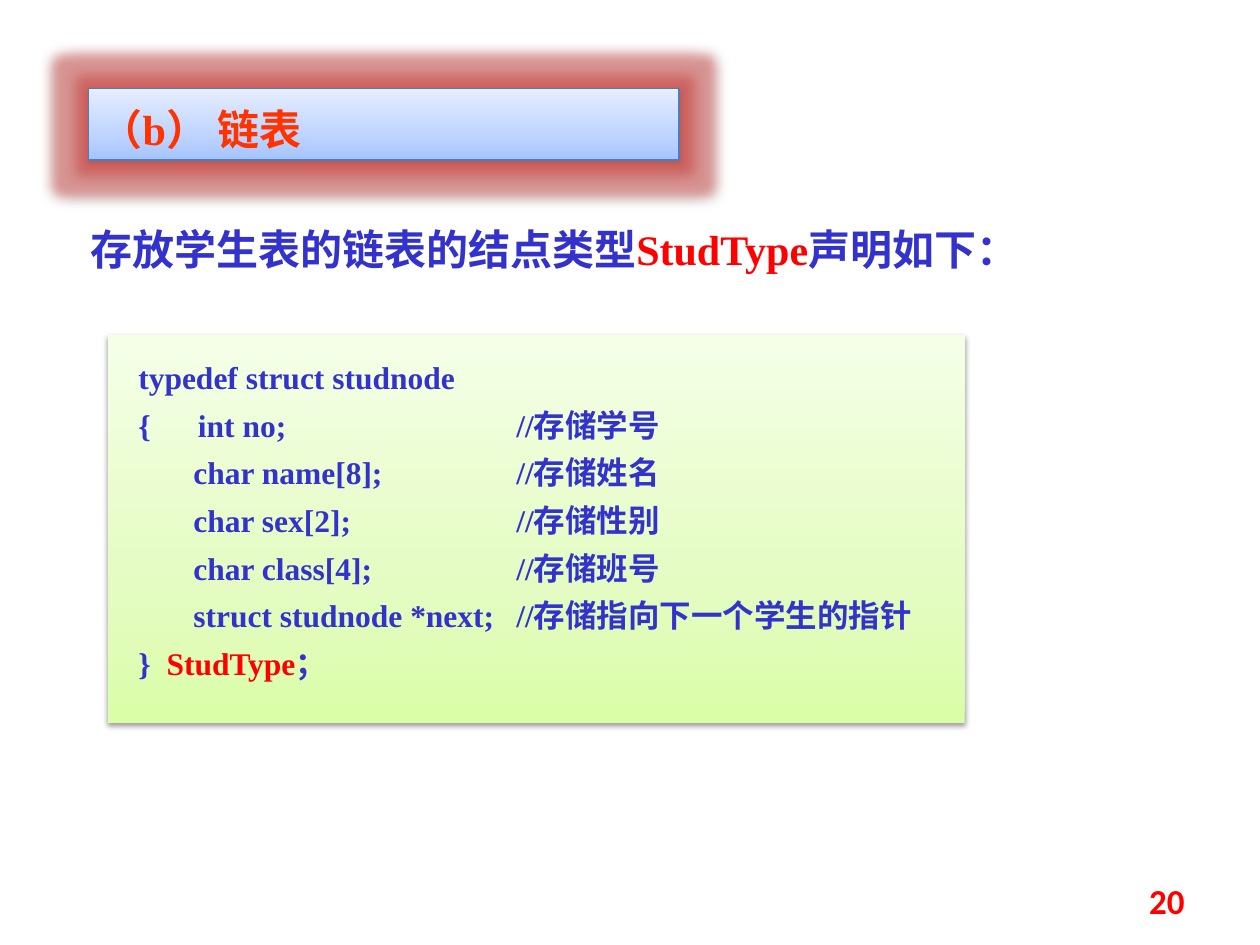
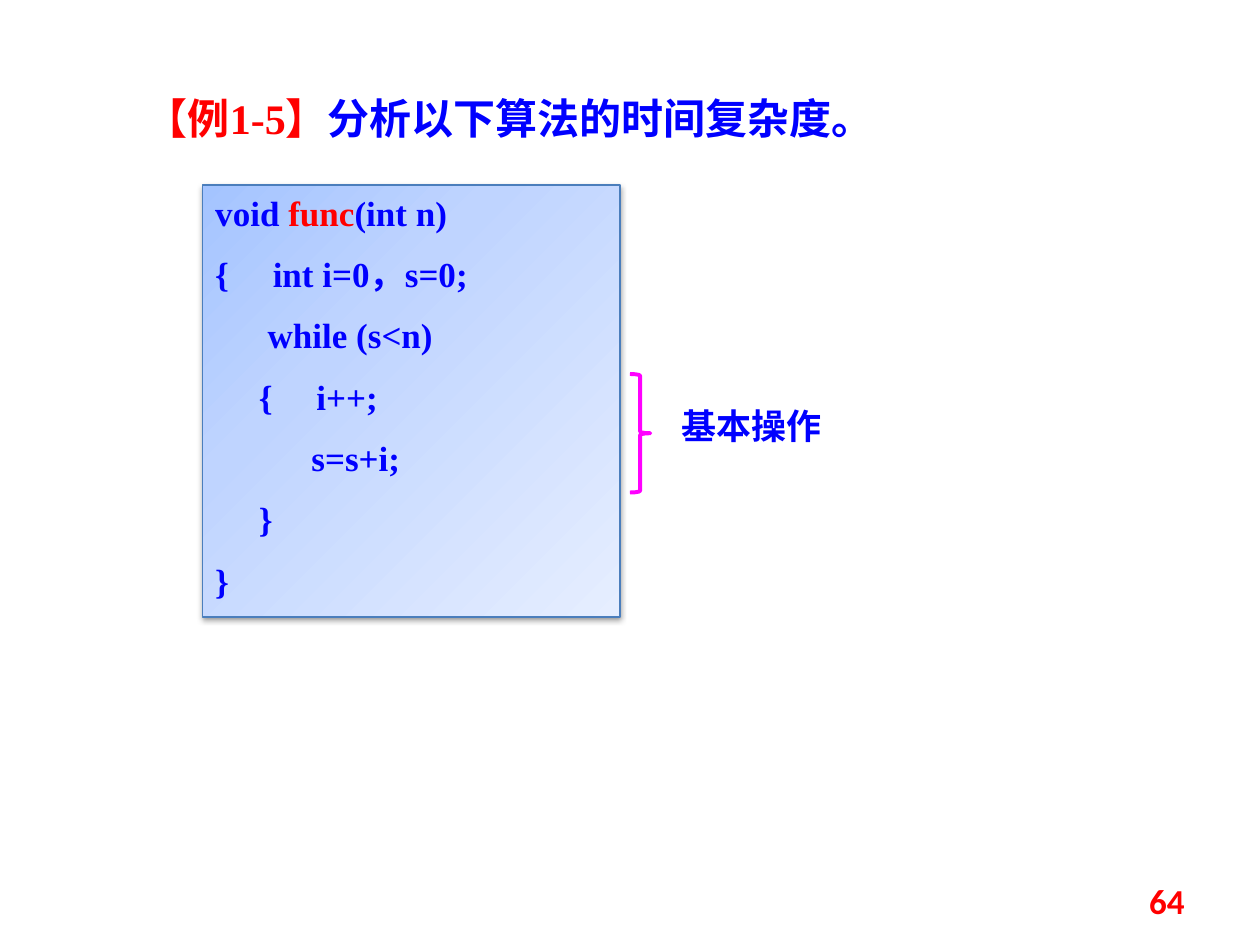
from lxml import etree
from pptx import Presentation
from pptx.dml.color import RGBColor
from pptx.enum.shapes import MSO_SHAPE as Shape
from pptx.enum.text import MSO_ANCHOR as Anchor, PP_ALIGN as Align
from pptx.oxml.ns import qn
from pptx.util import Cm, Pt

RED = RGBColor(0xFF, 0x00, 0x00)
ORANGE = RGBColor(0xFF, 0x33, 0x00)
INDIGO = RGBColor(0x33, 0x33, 0xCC)
BLUE = RGBColor(0x00, 0x00, 0xFF)
MAGENTA = RGBColor(0xFF, 0x00, 0xFF)
STEEL = RGBColor(0x4B, 0x7E, 0xBC)
GLOW_RED = RGBColor(0xD5, 0x2E, 0x29)
BLACK = RGBColor(0x00, 0x00, 0x00)
BLUE_STOPS = ((0, RGBColor(0xA4, 0xC4, 0xFF)), (35, RGBColor(0xBF, 0xD4, 0xFF)),
              (100, RGBColor(0xE6, 0xEE, 0xFF)))
GREEN_STOPS = ((0, RGBColor(0xDA, 0xFD, 0xA7)), (35, RGBColor(0xE4, 0xFC, 0xC2)),
               (100, RGBColor(0xF5, 0xFF, 0xE7)))

SERIF, SANS, CHINESE = "Times New Roman", "Calibri", "Noto Sans CJK SC"
INSETS = (0.25, 0.13, 0.25, 0.13)
SPACE_RATIO = 0.55  # space before a paragraph, as a share of the text size


def add_element(parent, tag, **attributes):
    element = etree.SubElement(parent, qn(tag))
    for name, value in attributes.items():
        element.set(name, str(value))
    return element


def add_color(parent, color, alpha=None):
    element = add_element(parent, "a:srgbClr", val=color)
    if alpha is not None:
        add_element(element, "a:alpha", val=alpha * 1000)


class Deck:
    """Holds the shared style and the slide being filled."""

    def __init__(self):
        self.presentation = Presentation()
        self.presentation.slide_width = Cm(25.4)
        self.presentation.slide_height = Cm(19.05)
        self.slide = None

    def new_slide(self, number):
        layout = self.presentation.slide_layouts[6]
        self.slide = self.presentation.slides.add_slide(layout)
        self.text((18.21, 17.65, 5.92, 1.02), [[(str(number), RED)]], size=20,
                  font=SANS, align=Align.RIGHT, anchor=Anchor.MIDDLE)

    def text(self, place, lines, **style):
        box = self.slide.shapes.add_textbox(*map(Cm, place))
        self.fill_text(box, lines, **style)

    def panel(self, place, stops, angle, lines, line=None, glow=False, **style):
        """Gradient rectangle with a soft shadow and, if asked, a glow."""
        shape = self.slide.shapes.add_shape(Shape.RECTANGLE, *map(Cm, place))
        shape.fill.gradient()
        shape.fill.gradient_angle = angle
        stop_list = shape._element.spPr.find(".//" + qn("a:gsLst"))
        for old_stop in list(stop_list):
            stop_list.remove(old_stop)
        for position, color in stops:
            add_color(add_element(stop_list, "a:gs", pos=position * 1000), color)
        if line is None:
            shape.line.fill.background()
        else:
            shape.line.color.rgb = line
            shape.line.width = Pt(0.75)
        shape.shadow.inherit = False
        effects = shape._element.spPr.find(qn("a:effectLst"))
        if glow:
            add_color(add_element(effects, "a:glow", rad=Pt(14)), GLOW_RED, 40)
        shadow = add_element(effects, "a:outerShdw", blurRad=Pt(3.1), dist=Pt(1.6),
                             dir=90 * 60000, rotWithShape=0)
        add_color(shadow, BLACK, 38)
        self.fill_text(shape, lines, **style)

    def brace(self, place, color):
        shape = self.slide.shapes.add_shape(Shape.RIGHT_BRACE, *map(Cm, place))
        shape.fill.background()
        shape.line.color.rgb = color
        shape.line.width = Pt(2.25)
        shape.shadow.inherit = False

    def fill_text(self, shape, lines, size, font=SERIF, align=Align.LEFT,
                  anchor=Anchor.TOP, insets=INSETS, spacing=None, hanging=None, tab=None):
        frame = shape.text_frame
        frame.word_wrap = True
        frame.vertical_anchor = anchor
        (frame.margin_left, frame.margin_top,
         frame.margin_right, frame.margin_bottom) = map(Cm, insets)
        for index, runs in enumerate(lines):
            paragraph = frame.add_paragraph() if index else frame.paragraphs[0]
            paragraph.alignment = align
            if spacing:
                paragraph.line_spacing = spacing
            if index:
                paragraph.space_before = Pt(size * SPACE_RATIO)
            properties = paragraph._p.get_or_add_pPr()
            if hanging:
                properties.set("marL", str(Cm(hanging)))
                properties.set("indent", str(-Cm(hanging)))
            if tab:
                tabs = add_element(properties, "a:tabLst")
                add_element(tabs, "a:tab", pos=Cm(tab), algn="l")
            for words, color in runs:
                run = paragraph.add_run()
                run.text = words
                run.font.size = Pt(size)
                run.font.bold = True
                run.font.color.rgb = color
                run.font.name = font
                add_element(run._r.get_or_add_rPr(), "a:ea", typeface=CHINESE)


def linked_list_slide(deck):
    deck.new_slide(20)
    # Heading and introduction
    deck.panel((1.78, 1.78, 11.91, 1.45), BLUE_STOPS, 90, [[("（b） 链表", ORANGE)]],
               line=STEEL, glow=True, size=24, spacing=1.1, hanging=1.27,
               insets=(0.25, 0.2, 0.25, 0.2))
    deck.text((1.57, 4.37, 19.33, 1.27),
              [[("存放学生表的链表的结点类型", INDIGO), ("StudType", RED),
                ("声明如下：", INDIGO)]],
              size=24, align=Align.JUSTIFY, hanging=1.27)
    # Node declaration
    code = ["typedef struct studnode",
            "{      int no;\t//存储学号",
            "       char name[8];\t//存储姓名",
            "       char sex[2];\t//存储性别",
            "       char class[4];\t//存储班号",
            "       struct studnode *next;\t//存储指向下一个学生的指针"]
    lines = [[(words, INDIGO)] for words in code]
    lines.append([("}  ", INDIGO), ("StudType", RED), ("；", INDIGO)])
    deck.panel((2.18, 6.76, 17.27, 7.82), GREEN_STOPS, 90, lines, size=18,
               align=Align.JUSTIFY, spacing=0.8, tab=7.62,
               insets=(0.61, 0.61, 0.25, 0.61))


def complexity_slide(deck):
    deck.new_slide(64)
    # Question
    deck.text((2.69, 1.73, 18.21, 1.27),
              [[("【例1-5】", RED), ("分析以下算法的时间复杂度。", BLUE)]],
              size=24, align=Align.JUSTIFY)
    # Function
    code = ["{     int i=0，s=0;",
            "      while (s<n)",
            "     {     i++;",
            "           s=s+i;",
            "     }",
            "}"]
    lines = [[("void ", BLUE), ("func", RED), ("(int n)", BLUE)]]
    lines += [[(words, BLUE)] for words in code]
    deck.panel((4.09, 3.73, 8.41, 8.71), BLUE_STOPS, 315, lines, line=STEEL,
               size=20, align=Align.JUSTIFY)
    # Basic operation
    deck.brace((12.7, 7.54, 0.41, 2.39), MAGENTA)
    deck.text((13.49, 8.03, 4.45, 1.09), [[("基本操作", BLUE)]], size=20, font=CHINESE)


def main():
    deck = Deck()
    linked_list_slide(deck)
    complexity_slide(deck)
    deck.presentation.save("out.pptx")


if __name__ == "__main__":
    main()
